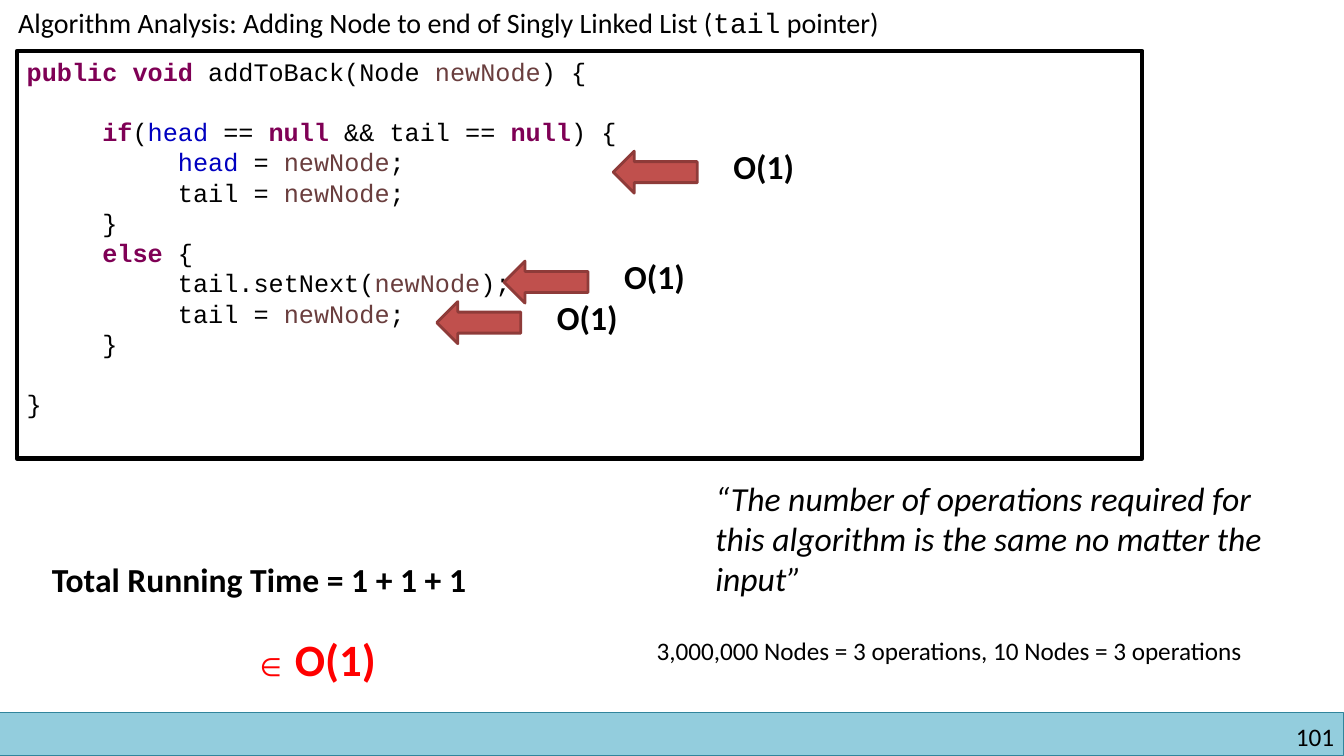
"""Build a slide on the running time of adding a node to the end of a linked list."""
from itertools import groupby

from pptx import Presentation
from pptx.dml.color import RGBColor
from pptx.enum import shapes, text
from pptx.util import Pt

COLORS = {
    "ink": "000000", "keyword": "7F0055", "field": "0000C0", "parameter": "6A3E3E",
    "arrow": "C0504D", "arrow_edge": "8E3B39", "result": "FF0000",
    "band": "93CDDD", "band_edge": "31859C",
}
SYNTAX = dict.fromkeys(("public", "void", "if", "else", "null"), "keyword")
SYNTAX.update(head="field", newNode="parameter")
CODE = """public void addToBack(Node newNode) {

     if(head == null && tail == null) {
          head = newNode;
          tail = newNode;
     }
     else {
          tail.setNext(newNode);
          tail = newNode;
     }

}"""
STEP_COSTS = [(438, 108), (360, 186.5), (312, 215.5)]


def color(name):
    return RGBColor.from_string(COLORS[name])


def style(font, size, name="Calibri", ink="ink", bold=False, italic=False):
    font.size, font.name, font.bold, font.italic = Pt(size), name, bold, italic
    font.color.rgb = color(ink)


def add_label(slide, box, wording, size, align="LEFT", wrap=False, inset=True, **look):
    label = slide.shapes.add_textbox(*map(Pt, box)).text_frame
    label.word_wrap = wrap
    if not inset:
        label.margin_left = label.margin_right = label.margin_top = label.margin_bottom = 0
    line = label.paragraphs[0]
    line.text = wording
    line.alignment = getattr(text.PP_ALIGN, align)
    style(line.font, size, **look)


def add_block(slide, kind, box, fill, edge, weight):
    block = slide.shapes.add_shape(kind, *map(Pt, box))
    block.shadow.inherit = False
    if fill:
        block.fill.solid()
        block.fill.fore_color.rgb = color(fill)
    else:
        block.fill.background()
    block.line.color.rgb = color(edge)
    block.line.width = Pt(weight)
    return block


def set_title(slide):
    title = slide.shapes.title
    title.left, title.top, title.width, title.height = map(Pt, (5.8, 0, 690, 31.5))
    frame = title.text_frame
    frame.word_wrap = False
    frame.auto_size = text.MSO_AUTO_SIZE.NONE
    frame.vertical_anchor = text.MSO_ANCHOR.TOP
    heading = frame.paragraphs[0]
    heading.alignment = text.PP_ALIGN.LEFT
    for wording, face in (
        ("Algorithm Analysis: Adding Node to end of Singly Linked List (", "Calibri"),
        ("tail", "Courier New"),
        (" pointer)", "Calibri"),
    ):
        run = heading.add_run()
        run.text = wording
        style(run.font, 20, face)


def add_code(slide, box, source):
    listing = add_block(slide, shapes.MSO_SHAPE.RECTANGLE, box, None, "ink", 3).text_frame
    listing.word_wrap = True
    listing.vertical_anchor = text.MSO_ANCHOR.TOP
    for number, code_line in enumerate(source.split("\n")):
        line = listing.add_paragraph() if number else listing.paragraphs[0]
        line.alignment = text.PP_ALIGN.LEFT
        style(line.font, 18, "Courier New")
        for _, letters in groupby(code_line, str.isalpha):
            token = line.add_run()
            token.text = "".join(letters)
            role = SYNTAX.get(token.text, "ink")
            style(token.font, 18, "Courier New", role, bold=role == "keyword")


def add_step_cost(slide, left, top):
    add_block(slide, shapes.MSO_SHAPE.LEFT_ARROW, (left, top, 60, 30),
              "arrow", "arrow_edge", 2)
    add_label(slide, (left + 75.5, top - 7, 64, 36), "O(1)", 24, "CENTER", bold=True)


def main():
    deck = Presentation()
    deck.slide_width, deck.slide_height = Pt(960), Pt(540)
    slide = deck.slides.add_slide(deck.slide_layouts[5])

    add_block(slide, shapes.MSO_SHAPE.RECTANGLE, (-0.5, 509, 960, 30.5),
              "band", "band_edge", 1)
    add_label(slide, (732, 515, 221, 21.5), "101", 18, "RIGHT", inset=False)
    set_title(slide)
    add_code(slide, (12, 36.5, 804, 291), CODE)
    add_label(slide, (30, 396, 370, 36), "Total Running Time = 1 + 1 + 1", 24, bold=True)
    for left, top in STEP_COSTS:
        add_step_cost(slide, left, top)
    add_label(slide, (178.5, 461.5, 31, 29), "∈", 18, wrap=True, name="Roboto", ink="result")
    add_label(slide, (203.5, 448, 79, 46), "O(1)", 32, ink="result", bold=True)
    add_label(slide, (504, 337.5, 405, 94.5),
              "“The number of operations required for this algorithm is the same "
              "no matter the input”", 24, wrap=True, italic=True)
    add_label(slide, (462, 450, 482, 29),
              "3,000,000 Nodes = 3 operations, 10 Nodes = 3 operations", 18)
    deck.save("out.pptx")


if __name__ == "__main__":
    main()
